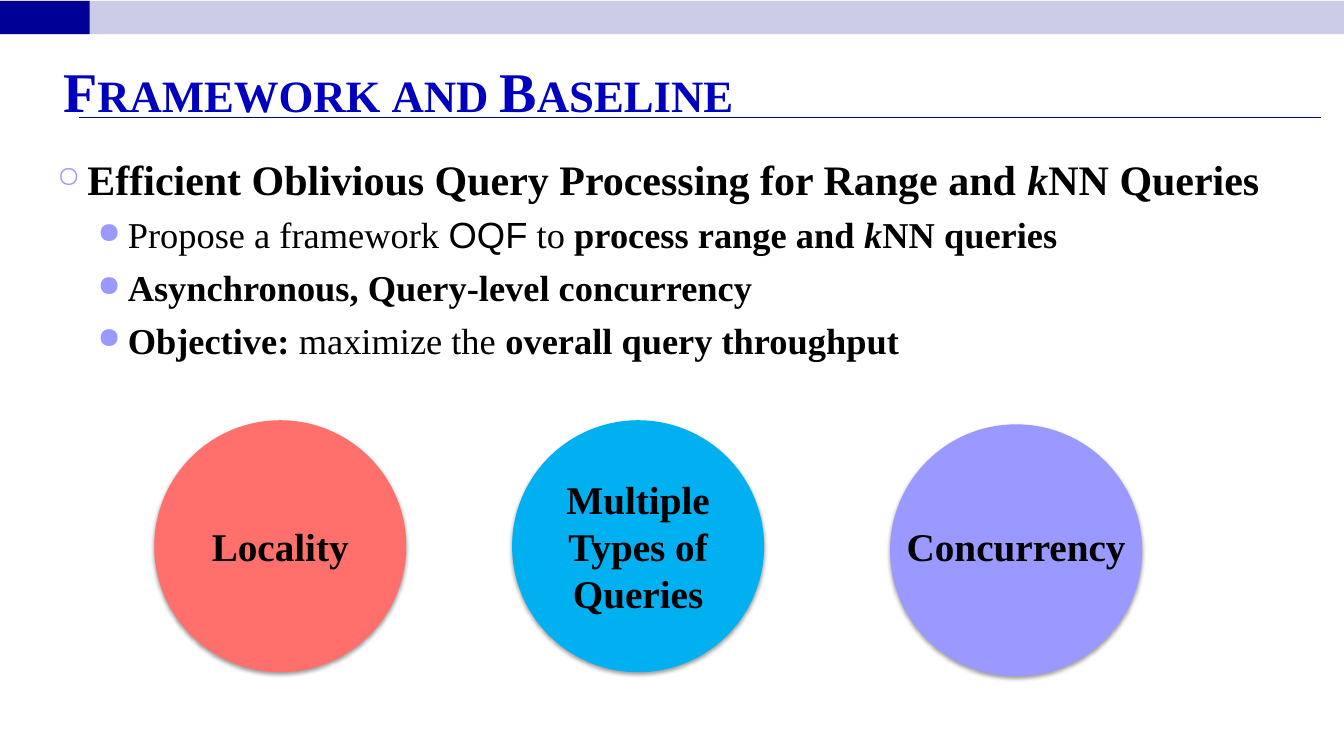
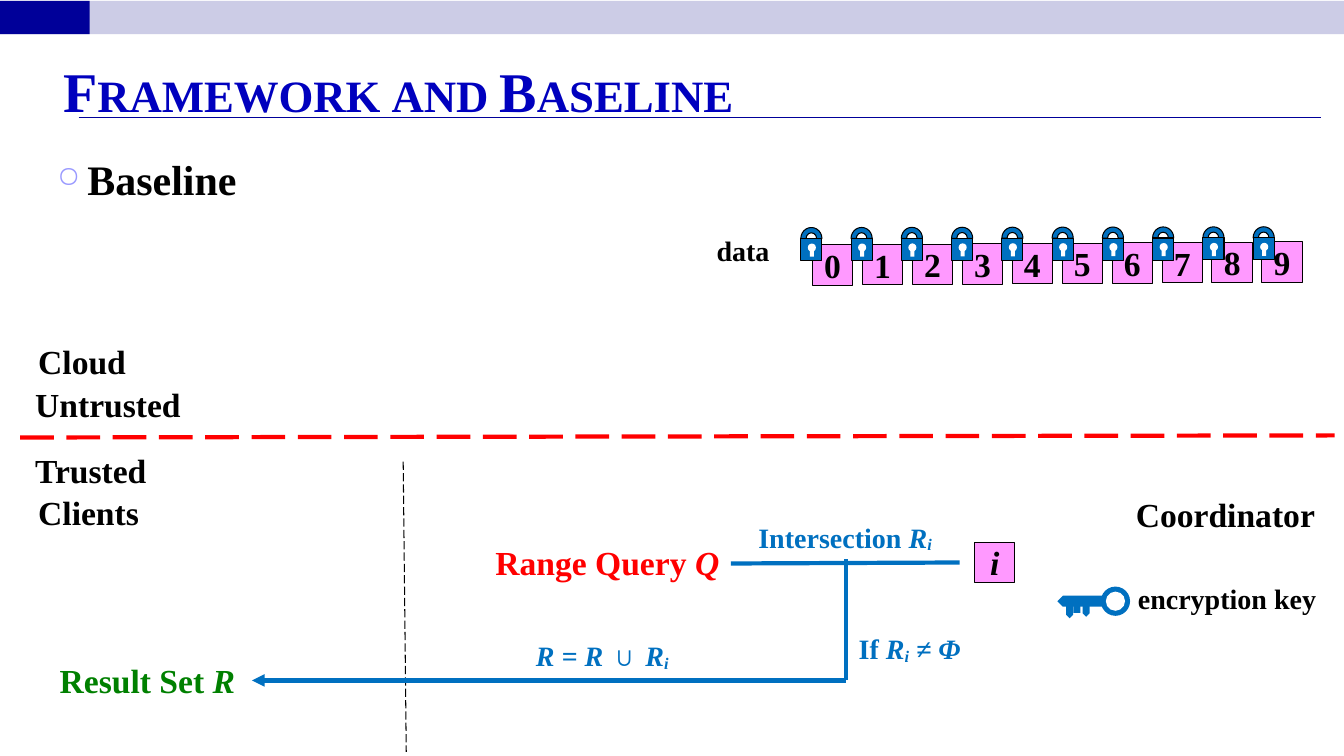
"""Build two slides on an oblivious query framework and its baseline."""
import dataclasses

import lxml.etree
import pptx
import pptx.dml.color
import pptx.enum.dml
import pptx.enum.shapes
import pptx.enum.text
import pptx.oxml
import pptx.oxml.ns
import pptx.util

Pt = pptx.util.Pt
KIND = pptx.enum.shapes.MSO_SHAPE
ALIGN = pptx.enum.text.PP_ALIGN
ANCHOR = pptx.enum.text.MSO_ANCHOR
LONG_DASH = pptx.enum.dml.MSO_LINE.LONG_DASH


@dataclasses.dataclass(frozen=True)
class Theme:
    """Colours, fonts and type sizes shared by the slides."""
    serif: str = "Times New Roman"
    sans: str = "Arial"
    title: str = "0000BE"
    navy: str = "000099"
    band: str = "CCCCE6"
    lilac: str = "9999FF"
    coral: str = "FF706D"
    sky: str = "00B0F0"
    blue: str = "0070C0"
    pink: str = "FF99FF"
    red: str = "FF0000"
    green: str = "008000"
    black: str = "000000"
    white: str = "FFFFFF"
    title_size: float = 40
    head_size: float = 30
    circle_size: float = 28
    point_size: float = 26
    label_size: float = 24
    note_size: float = 20


THEME = Theme()
PLAIN = {"bold": False}
BOLD = {"bold": True}
ITALIC = {"bold": True, "italic": True}
SANS = {"bold": False, "name": THEME.sans}
SUB = {**ITALIC, "baseline": "-10000"}
CAPS = {"bold": True, "cap": "small"}

TITLE = "Framework and Baseline"
TITLE_BOX = (38, 37.4, 882, 53.3)
BODY_BOX = (33.8, 105.8, 890, 394.6)

FRAMEWORK = [
    (0, [("Efficient Oblivious Query Processing for Range and ", BOLD),
         ("k", ITALIC), ("NN Queries", BOLD)]),
    (1, [("Propose a framework ", PLAIN), ("OQF", SANS), (" to ", PLAIN),
         ("process range and ", BOLD), ("k", ITALIC), ("NN queries", BOLD)]),
    (1, [("Asynchronous, Query-level concurrency", BOLD)]),
    (1, [("Objective: ", BOLD), ("maximize the ", PLAIN),
         ("overall query throughput", BOLD)]),
]
BASELINE = [(0, [("Baseline", BOLD)])]
LEVELS = [
    {"size": THEME.head_size, "before": 6, "margin": 21.6, "mark": "○", "percent": 70},
    {"size": THEME.point_size, "before": 6.5, "margin": 50.4, "mark": "●", "percent": 80},
]

CIRCLES = [
    ((110.2, 300.2, 180, 180), THEME.coral, "Locality"),
    ((365.8, 300.2, 180, 180), THEME.sky, "Multiple Types of Queries"),
    ((635.8, 303.1, 180, 180), THEME.lilac, ""),
]
CONCURRENCY_BOX = (635.8, 369.4, 180, 41)

LABELS = [
    ((804.2, 349.2, 144.7, 36), [("Coordinator", BOLD)]),
    ((18, 317.5, 126, 36), [("Trusted", BOLD)]),
    ((18, 270.7, 126, 36), [("Untrusted", BOLD)]),
    ((20.2, 239.8, 88.6, 36), [("Cloud", BOLD)]),
    ((20.2, 347.8, 144.7, 36), [("Clients", BOLD)]),
]
NOTES = [
    ((504.7, 163.4, 60, 31.7), [("data", BOLD)]),
    ((805.7, 411.8, 144, 31.7), [("encryption key", BOLD)]),
]
RANGE_QUERY = ((345.6, 383.8, 176.4, 36), [("Range Query ", BOLD), ("Q", ITALIC)])
RESULT_SET = ((12.2, 468, 192.2, 36), [("Result Set ", BOLD), ("R ", ITALIC)])
FORMULAS = [
    ((326.2, 452.9, 208.1, 31.7),
     [("R = R ", ITALIC), ("∪", BOLD), (" R", ITALIC), ("i", SUB)]),
    ((568.1, 447.8, 163.4, 31.7),
     [("If ", BOLD), ("R", ITALIC), ("i", SUB), (" ≠ Φ", ITALIC)]),
    ((522, 367.9, 163.4, 31.7),
     [("Intersection ", BOLD), ("R", ITALIC), ("i", SUB)]),
]

FLOW_LINES = [
    ((604.1, 486), (180, 486), True),
    ((522, 402.5), (685.4, 401.8), False),
    ((604.1, 399.6), (604.1, 486), False),
]
TRUST_LINE = ((14.4, 312.5), (953.3, 311))
CLIENT_LINE = ((288, 329.8), (290.2, 537.1))

CELL_SIZE = 28.8
CELL_COUNT = 10
CELL_START, CELL_STEP = (580.3, 175), (35.68, -0.24)
LOCK_START, LOCK_STEP = (572, 162.5), (35.9, -0.06)
LOCK_PARTS = [
    (KIND.BLOCK_ARC, (0, 0, 15.1, 15.8), THEME.blue, THEME.black, 0),
    (KIND.RECTANGLE, (0, 7.9, 15.1, 15.8), THEME.blue, THEME.black, 0),
    (KIND.OVAL, (5, 11.5, 5.8, 5.8), THEME.white, None, 0),
    (KIND.RECTANGLE, (6.5, 15.1, 2.9, 5.8), THEME.white, None, 0),
]
KEY_START = (755.3, 419)
KEY_PARTS = [
    (KIND.OVAL, (31, 0, 20.9, 20.9), THEME.blue, None, 0),
    (KIND.PENTAGON, (0, 6.5, 36, 7.9), THEME.blue, None, 180),
    (KIND.OVAL, (34.6, 3.6, 13.7, 13.7), THEME.white, None, 0),
    (KIND.PENTAGON, (3.6, 15.1, 10.1, 5), THEME.blue, None, 90),
    (KIND.RECTANGLE, (11.5, 12.3, 5, 6.5), THEME.blue, None, 0),
    (KIND.PENTAGON, (15.1, 13.7, 10.8, 5), THEME.blue, None, 90),
]


def color(code):
    """Turn a hex code into a colour."""
    return pptx.dml.color.RGBColor.from_string(code)


def add_xml(parent, tag, **values):
    """Append a DrawingML element and return it."""
    child = lxml.etree.SubElement(parent, pptx.oxml.ns.qn(tag))
    for name, value in values.items():
        child.set(name, str(value))
    return child


def write(para, runs, size, code=THEME.black):
    """Write formatted runs into a paragraph."""
    for text, style in runs:
        span = para.add_run()
        span.text = text
        span.font.color.rgb = color(code)
        for name, value in {"name": THEME.serif, "size": Pt(size), **style}.items():
            if name in ("baseline", "cap"):
                span._r.get_or_add_rPr().set(name, value)
            else:
                setattr(span.font, name, value)


def add_text(page, place, runs, size, code=THEME.black, align=ALIGN.LEFT):
    """Add a one-paragraph text box."""
    frame = page.shapes.add_textbox(*map(Pt, place)).text_frame
    frame.word_wrap = True
    frame.paragraphs[0].alignment = align
    write(frame.paragraphs[0], runs, size, code)


def add_shape(shapes, kind, place, fill, outline=None, turn=0):
    """Add a flat preset shape."""
    shape = shapes.add_shape(kind, *map(Pt, place))
    shape.shadow.inherit = False
    shape.rotation = turn
    shape.fill.solid()
    shape.fill.fore_color.rgb = color(fill)
    if outline:
        shape.line.color.rgb = color(outline)
        shape.line.width = Pt(0.75)
    else:
        shape.line.fill.background()
    return shape


def fill_text(shape, runs, size, side_inset):
    """Centre text inside a shape."""
    frame = shape.text_frame
    settings = {"word_wrap": True, "vertical_anchor": ANCHOR.MIDDLE,
                "margin_left": Pt(side_inset), "margin_right": Pt(side_inset)}
    for name, value in settings.items():
        setattr(frame, name, value)
    frame.paragraphs[0].alignment = ALIGN.CENTER
    write(frame.paragraphs[0], runs, size)


def add_line(page, start, end, code, width, dash=None, arrow=False):
    """Add a straight connector, dashed or with an arrowhead."""
    line = page.shapes.add_connector(
        pptx.enum.shapes.MSO_CONNECTOR.STRAIGHT, *map(Pt, start + end))
    for name, value in {"width": Pt(width), "dash_style": dash}.items():
        setattr(line.line, name, value)
    line.line.color.rgb = color(code)
    if arrow:
        add_xml(line.line._get_or_add_ln(), "a:tailEnd", type="triangle")
    add_xml(line.element.spPr, "a:effectLst")
    return line


def add_body(page, items):
    """Add the bulleted text."""
    frame = page.shapes.add_textbox(*map(Pt, BODY_BOX)).text_frame
    frame.word_wrap = True
    for index, (depth, runs) in enumerate(items):
        level = LEVELS[depth]
        para = frame.add_paragraph() if index else frame.paragraphs[0]
        para.level = depth
        para.space_before = Pt(level["before"])
        props = para._p.get_or_add_pPr()
        props.set("marL", str(Pt(level["margin"])))
        props.set("indent", str(-Pt(21.6)))
        add_xml(add_xml(props, "a:buClr"), "a:srgbClr", val=THEME.lilac)
        add_xml(props, "a:buSzPct", val=level["percent"] * 1000)
        add_xml(props, "a:buChar", char=level["mark"])
        write(para, runs, level["size"])


def add_icon(page, start, parts):
    """Group the parts of an icon at a starting point."""
    group = page.shapes.add_group_shape()
    for kind, (left, top, width, height), fill, outline, turn in parts:
        place = (start[0] + left, start[1] + top, width, height)
        add_shape(group.shapes, kind, place, fill, outline, turn)


def add_cell(page, left, top, runs):
    """Add one square data cell."""
    cell = add_shape(page.shapes, KIND.RECTANGLE, (left, top, CELL_SIZE, CELL_SIZE),
                     THEME.pink, THEME.black)
    fill_text(cell, runs, THEME.label_size, 0)


def step_from(start, step, index):
    """Give the point of one item in an evenly spaced row."""
    return tuple(round(base + gap * index, 2) for base, gap in zip(start, step))


def add_page(deck, items):
    """Add a slide with its title and bulleted text."""
    page = deck.slides.add_slide(deck.slide_layouts[5])
    title = page.shapes.title
    for name, value in zip(("left", "top", "width", "height"), TITLE_BOX):
        setattr(title, name, Pt(value))
    title.text_frame.auto_size = pptx.enum.text.MSO_AUTO_SIZE.NONE
    title.text_frame.paragraphs[0].alignment = ALIGN.LEFT
    write(title.text_frame.paragraphs[0], [(TITLE, CAPS)], THEME.title_size, THEME.title)
    add_body(page, items)
    return page


def dress_layout(layout, page):
    """Move the shared bands and title rule into the layout."""
    for holder in list(layout.placeholders)[1:]:
        holder.element.getparent().remove(holder.element)
    parts = [
        add_shape(page.shapes, KIND.RECTANGLE, (0, 0.7, 960, 23.8), THEME.band),
        add_shape(page.shapes, KIND.RECTANGLE, (0, 0.7, 64, 23.8), THEME.navy),
        add_line(page, (56.2, 84.2), (943.9, 84.2), THEME.navy, 0.75),
    ]
    for part in parts:
        layout.shapes.element.append(part.element)


def draw_framework(page):
    """Draw the three circles."""
    for place, fill, text in CIRCLES:
        circle = add_shape(page.shapes, KIND.OVAL, place, fill)
        effects = circle.element.spPr.find(pptx.oxml.ns.qn("a:effectLst"))
        shadow = add_xml(effects, "a:outerShdw", blurRad=Pt(3.1), dist=Pt(1.6),
                         dir=5400000, rotWithShape=0)
        add_xml(add_xml(shadow, "a:srgbClr", val=THEME.black), "a:alpha", val=38000)
        if text:
            fill_text(circle, [(text, BOLD)], THEME.circle_size, 0)
    add_text(page, CONCURRENCY_BOX, [("Concurrency", BOLD)], THEME.circle_size,
             align=ALIGN.CENTER)


def draw_baseline(page):
    """Draw the data cells, zones and query flow."""
    add_line(page, *TRUST_LINE, THEME.red, 3, LONG_DASH)
    add_line(page, *CLIENT_LINE, THEME.black, 0.75, LONG_DASH)
    for start, end, arrow in FLOW_LINES:
        add_line(page, start, end, THEME.blue, 3, arrow=arrow)
    for index in range(CELL_COUNT):
        add_cell(page, *step_from(CELL_START, CELL_STEP, index), [(str(index), BOLD)])
    for index in range(CELL_COUNT):
        add_icon(page, step_from(LOCK_START, LOCK_STEP, index), LOCK_PARTS)
    add_cell(page, 696.2, 387.4, [("i", ITALIC)])
    add_icon(page, KEY_START, KEY_PARTS)
    for place, runs in LABELS:
        add_text(page, place, runs, THEME.label_size)
    for place, runs in NOTES:
        add_text(page, place, runs, THEME.note_size)
    for (place, runs), code in ((RANGE_QUERY, THEME.red), (RESULT_SET, THEME.green)):
        add_text(page, place, runs, THEME.label_size, code, ALIGN.CENTER)
    for place, runs in FORMULAS:
        add_text(page, place, runs, THEME.note_size, THEME.blue, ALIGN.CENTER)


def main():
    """Build and save the deck."""
    deck = pptx.Presentation()
    deck.slide_width, deck.slide_height = Pt(960), Pt(540)
    framework = add_page(deck, FRAMEWORK)
    dress_layout(deck.slide_layouts[5], framework)
    draw_framework(framework)
    draw_baseline(add_page(deck, BASELINE))
    deck.save("out.pptx")


if __name__ == "__main__":
    main()
